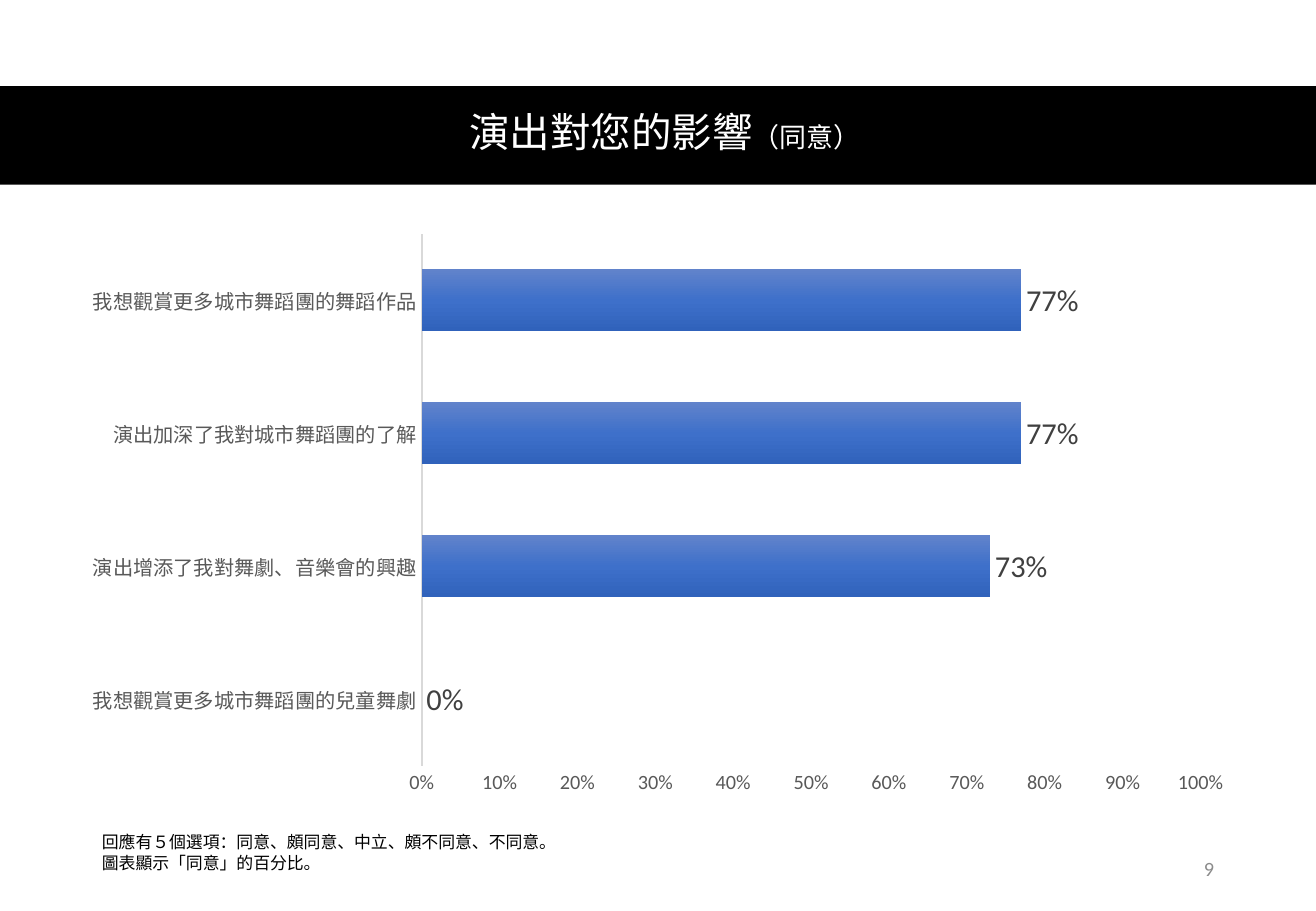
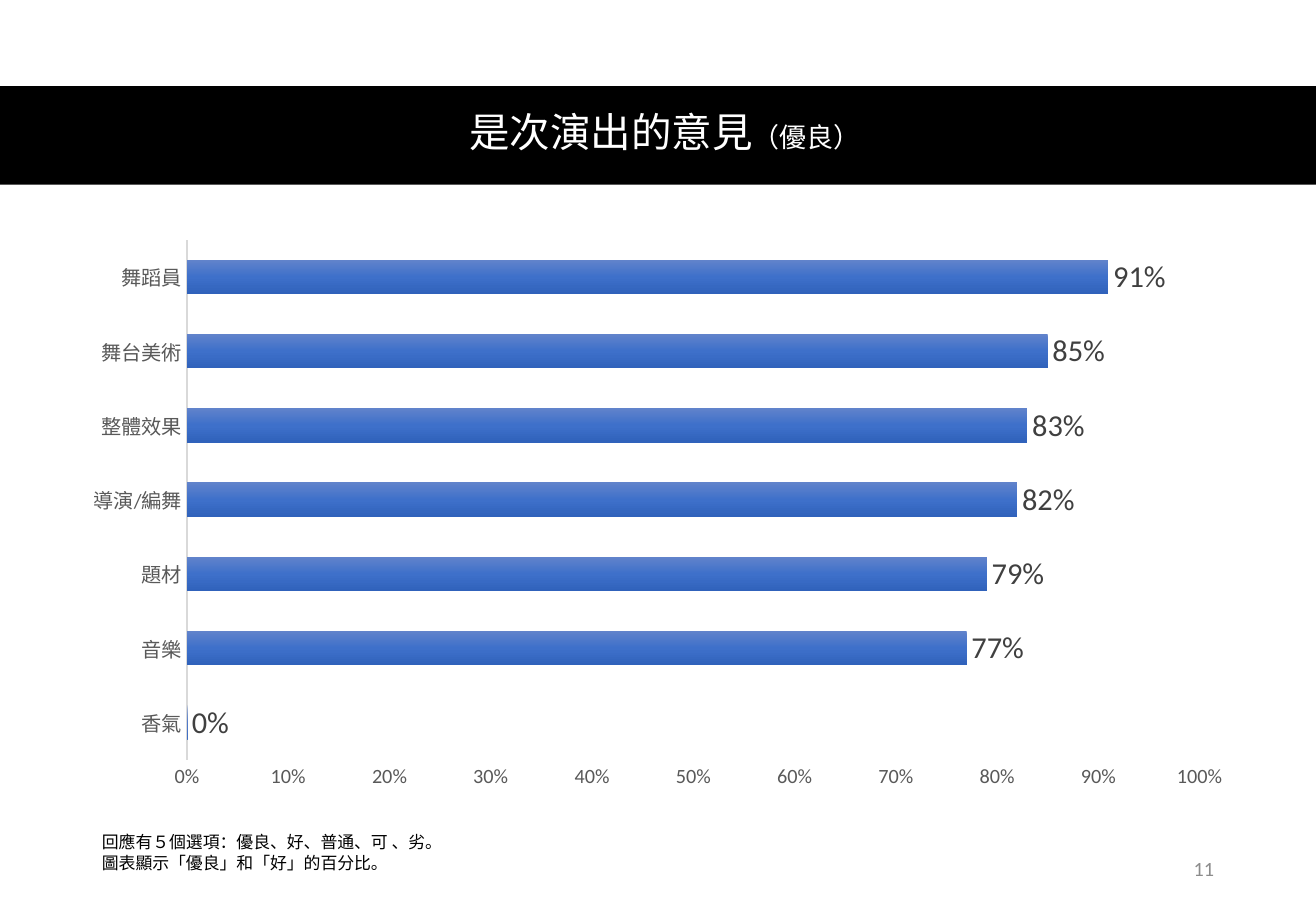
from dataclasses import dataclass

from pptx import Presentation
from pptx.chart.data import CategoryChartData
from pptx.dml.color import RGBColor
from pptx.enum.chart import XL_CHART_TYPE as Chart, XL_LABEL_POSITION as LabelPos
from pptx.enum.chart import XL_TICK_MARK as Tick
from pptx.enum.shapes import MSO_SHAPE as Shape
from pptx.enum.text import MSO_ANCHOR as Anchor, MSO_AUTO_SIZE as AutoSize, PP_ALIGN as Align
from pptx.oxml import parse_xml
from pptx.oxml.ns import nsdecls
from pptx.util import Pt

EMU_PER_PX = 9144  # 100 px to the inch
SLIDE_W, SLIDE_H = 1083, 750
TITLE_ONLY = 5


@dataclass(frozen=True)
class Theme:
    band: str = "000000"
    title: str = "FFFFFF"
    text: str = "000000"
    axis_text: str = "595959"
    axis_line: str = "D9D9D9"
    label: str = "404040"
    number: str = "8C8C8C"
    bar_stops: tuple = ((0, "6183CB"), (50, "3E70CA"), (100, "3062BB"))
    title_font: str = "Lato"
    chart_font: str = "Calibri"
    note_font: str = "Arial"
    title_size: int = 24
    subtitle_size: int = 16
    label_size: int = 18
    axis_size: int = 12
    note_size: int = 10


def px(*lengths):
    return [n * EMU_PER_PX for n in lengths]


def style(font, name, size, color):
    font.name, font.size = name, Pt(size)
    font.color.rgb = RGBColor.from_string(color)


class Deck:
    def __init__(self, theme):
        self.theme = theme
        self.prs = Presentation()
        self.prs.slide_width, self.prs.slide_height = px(SLIDE_W, SLIDE_H)
        self.s = None

    def new_slide(self):
        self.s = self.prs.slides.add_slide(self.prs.slide_layouts[TITLE_ONLY])

    def band(self):
        """Draw the full-width band behind everything else."""
        sp = self.s.shapes.add_shape(Shape.RECTANGLE, *px(0, 71, SLIDE_W, 81))
        sp.shadow.inherit = False
        sp.fill.solid()
        sp.fill.fore_color.rgb = RGBColor.from_string(self.theme.band)
        sp.line.fill.background()
        self.s.shapes._spTree.insert(2, sp._element)

    def title(self, text, subtitle):
        t = self.theme
        sp = self.s.shapes.title
        sp.left, sp.top, sp.width, sp.height = px(49, 70, 996, 81)
        tf = sp.text_frame
        tf.vertical_anchor = Anchor.MIDDLE
        tf.auto_size = AutoSize.NONE
        p = tf.paragraphs[0]
        p.alignment, p.line_spacing = Align.CENTER, 0.9
        for words, size in ((text, t.title_size), (subtitle, t.subtitle_size)):
            r = p.add_run()
            r.text = words
            style(r.font, t.title_font, size, t.title)

    def text(self, box, lines, font, size, color, align=Align.LEFT):
        tf = self.s.shapes.add_textbox(*px(*box)).text_frame
        for i, line in enumerate(lines):
            p = tf.add_paragraph() if i else tf.paragraphs[0]
            p.text, p.alignment = line, align
            style(p.font, font, size, color)
        return tf

    def note(self, width, lines):
        t = self.theme
        tf = self.text((74, 680, width, 44), lines, t.note_font, t.note_size, t.text)
        tf.word_wrap = False
        tf.auto_size = AutoSize.SHAPE_TO_FIT_TEXT

    def number(self, n):
        t = self.theme
        tf = self.text((765, 695, 244, 40), [str(n)], t.chart_font, t.axis_size,
                       t.number, Align.RIGHT)
        tf.word_wrap = True
        tf.vertical_anchor = Anchor.MIDDLE

    def bar_chart(self, values, layout=None):
        t = self.theme
        data = CategoryChartData(number_format="0%")
        data.categories = list(values)
        data.add_series("Series 1", list(values.values()))
        chart = self.s.shapes.add_chart(Chart.BAR_CLUSTERED, *px(57, 183, 969, 481), data).chart
        chart.has_legend = chart.has_title = False
        style(chart.font, t.chart_font, t.note_size, t.text)

        for axis in (chart.category_axis, chart.value_axis):
            axis.major_tick_mark = axis.minor_tick_mark = Tick.NONE
            axis.has_major_gridlines = False
            style(axis.tick_labels.font, t.chart_font, t.axis_size, t.axis_text)
        line = chart.category_axis.format.line
        line.width = Pt(1)
        line.color.rgb = RGBColor.from_string(t.axis_line)
        axis = chart.value_axis
        axis.minimum_scale, axis.maximum_scale, axis.major_unit = 0, 1, 0.1
        axis.tick_labels.number_format = "0%"
        axis.tick_labels.number_format_is_linked = False
        axis.format.line.fill.background()

        plot = chart.plots[0]
        plot.vary_by_categories = False
        plot.gap_width, plot.overlap = 115, -20
        plot.has_data_labels = True
        labels = plot.data_labels
        labels.show_value, labels.position = True, LabelPos.OUTSIDE_END
        labels.number_format, labels.number_format_is_linked = "0%", False
        style(labels.font, t.chart_font, t.label_size, t.label)
        self.bar_gradient(plot.series[0])
        if layout:
            self.plot_layout(chart, layout)

    def bar_gradient(self, series):
        stops = "".join(f'<a:gs pos="{pos * 1000}"><a:srgbClr val="{color}"/></a:gs>'
                        for pos, color in self.theme.bar_stops)
        series._element.get_or_add_spPr().insert(0, parse_xml(
            f'<a:gradFill {nsdecls("a")} rotWithShape="1"><a:gsLst>{stops}</a:gsLst>'
            '<a:lin ang="5400000" scaled="0"/></a:gradFill>'))

    @staticmethod
    def plot_layout(chart, layout):
        """Fix the inner plot area, given as x, y, w, h fractions of the chart."""
        area = chart._chartSpace.chart.plotArea
        for old in area.xpath("c:layout"):
            area.remove(old)
        modes = '<c:xMode val="edge"/><c:yMode val="edge"/>'
        sizes = "".join(f'<c:{key} val="{val}"/>' for key, val in zip("xywh", layout))
        area.insert(0, parse_xml(
            f'<c:layout {nsdecls("c")}><c:manualLayout><c:layoutTarget val="inner"/>'
            f'{modes}{sizes}</c:manualLayout></c:layout>'))


SLIDES = [
    dict(
        title=("演出對您的影響", "（同意）"),
        values={
            "我想觀賞更多城市舞蹈團的兒童舞劇": 0,
            "演出增添了我對舞劇、音樂會的興趣": 0.73,
            "演出加深了我對城市舞蹈團的了解": 0.77,
            "我想觀賞更多城市舞蹈團的舞蹈作品": 0.77,
        },
        layout=None,
        number=9,
        note=(399, ["回應有５個選項：同意、頗同意、中立、頗不同意、不同意。",
                    "圖表顯示「同意」的百分比。"]),
    ),
    dict(
        title=("是次演出的意見", "（優良）"),
        values={"香氣": 0, "音樂": 0.77, "題材": 0.79, "導演/編舞": 0.82,
                "整體效果": 0.83, "舞台美術": 0.85, "舞蹈員": 0.91},
        layout=(0.1, 0.03, 0.86, 0.89),
        number=11,
        note=(305, ["回應有５個選項：優良、好、普通、可 、劣。",
                    "圖表顯示「優良」和「好」的百分比。"]),
    ),
]


def main():
    deck = Deck(Theme())
    for content in SLIDES:
        deck.new_slide()
        deck.band()
        deck.title(*content["title"])
        deck.bar_chart(content["values"], content["layout"])
        deck.number(content["number"])
        deck.note(*content["note"])
    deck.prs.save("out.pptx")


if __name__ == "__main__":
    main()
